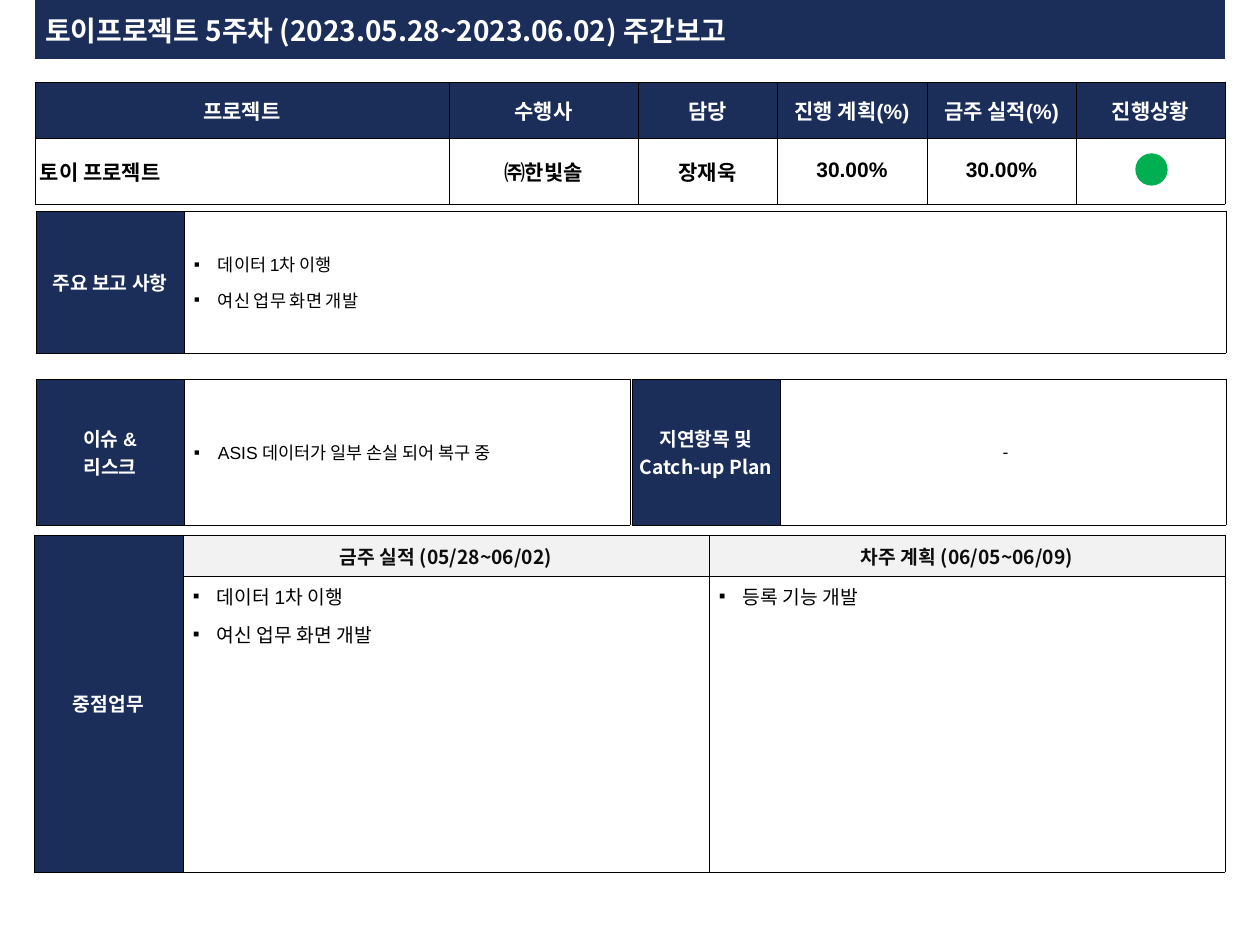
"""Weekly report page: title banner, project status, key reports, issues and main tasks."""
from lxml import etree
from pptx import Presentation
from pptx import util as u
from pptx.dml.color import RGBColor
from pptx.enum import shapes, text
from pptx.oxml import ns

SCALE = u.Inches(1) / 126
THEME = dict(navy="1B2E5A", gray="F2F2F2", white="FFFFFF", black="000000", ink="0D0D0D",
             green="00B050", sans="Arial", korean="Noto Sans CJK KR",
             title=16, status=12, label=11, note=10, border=0.25)

TITLE = "토이프로젝트 5주차 (2023.05.28~2023.06.02) 주간보고"
BANNER = (35, 0, 1190, 59)
TITLE_BOX = (35, 8, 737, 44)
STATUS_LIGHT = (1136, 154, 31, 31)

HEAD = dict(size="status", color="white", bold=True, fill="navy", align="CENTER", before=2.4)
VALUE = dict(size="status", bold=True, align="CENTER", before=2.4)
PERCENT = dict(VALUE, spacing=0.9)
LABEL = dict(size="label", color="white", bold=True, fill="navy", align="CENTER", inset_y=6)
KOREAN_LABEL = dict(LABEL, font="korean")
PERIOD = dict(KOREAN_LABEL, color="ink", fill="gray", before=2.2)
NOTE = dict(size="note", bullet=True, after=6, inset_x=10, inset_y=6)
TASK = dict(NOTE, size="label", anchor="TOP")
PLAIN_NOTE = dict(NOTE, bullet=False, align="CENTER")

HEADINGS = ("프로젝트", "수행사", "담당", "진행 계획(%)", "금주 실적(%)", "진행상황")
DONE = "데이터 1차 이행\n여신 업무 화면 개발"

TABLES = [
    dict(at=(35, 82), cols=(414, 189, 139, 150, 149, 149), rows=(56, 66), cells=[
        [(heading, HEAD) for heading in HEADINGS],
        [("토이 프로젝트", dict(VALUE, font="korean", align="LEFT")),
         ("㈜한빛솔", dict(VALUE, font="korean")),
         ("장재욱", dict(VALUE, before=6)),
         ("30.00%", PERCENT), ("30.00%", PERCENT), ("", VALUE)]]),
    dict(at=(34, 535), cols=(149, 526, 516), rows=(41, 296), merge=((0, 0), (1, 0)), cells=[
        [("중점업무", KOREAN_LABEL), ("금주 실적 (05/28~06/02)", PERIOD),
         ("차주 계획 (06/05~06/09)", PERIOD)],
        [("", LABEL), (DONE, TASK), ("등록 기능 개발", TASK)]]),
    dict(at=(36, 379), cols=(148, 446), rows=(146,), cells=[
        [("이슈 &\n리스크", LABEL), ("ASIS 데이터가 일부 손실 되어 복구 중", NOTE)]]),
    dict(at=(36, 211), cols=(148, 1042), rows=(142,), cells=[
        [("주요 보고 사항", LABEL), (DONE, NOTE)]]),
    dict(at=(632, 379), cols=(148, 446), rows=(146,), cells=[
        [("지연항목 및\nCatch-up Plan", KOREAN_LABEL), ("-", PLAIN_NOTE)]]),
]


def px(*lengths):
    return [u.Emu(round(length * SCALE)) for length in lengths]


def rgb(name):
    return RGBColor.from_string(THEME[name])


def write(frame, words, size, color="black", bold=False, font="sans", align="LEFT",
          before=0, after=0, spacing=None, bullet=False):
    for index, line in enumerate(words.split("\n")):
        para = frame.add_paragraph() if index else frame.paragraphs[0]
        para.alignment = text.PP_ALIGN[align]
        para.space_before, para.space_after = u.Pt(before), u.Pt(after)
        para.line_spacing = spacing
        if bullet:
            props = para._p.get_or_add_pPr()
            indent = px(24)[0]
            props.set("marL", str(indent))
            props.set("indent", str(-indent))
            etree.SubElement(props, ns.qn("a:buFont"), typeface=THEME["sans"])
            etree.SubElement(props, ns.qn("a:buChar"), char="▪")
        span = para.add_run()
        span.text = line
        span.font.size, span.font.bold = u.Pt(THEME[size]), bold
        span.font.color.rgb = rgb(color)
        span.font.name = THEME[font]
        etree.SubElement(span.font._element, ns.qn("a:ea"), typeface=THEME["korean"])


def add_borders(cell):
    props = cell._tc.get_or_add_tcPr()
    for side in "LRTB":
        line = etree.SubElement(props, ns.qn(f"a:ln{side}"), w=str(u.Pt(THEME["border"])))
        fill = etree.SubElement(line, ns.qn("a:solidFill"))
        etree.SubElement(fill, ns.qn("a:srgbClr"), val=THEME["black"])


def style_cell(cell, words, fill=None, anchor="MIDDLE", inset_x=5, inset_y=5, **style):
    add_borders(cell)
    if fill:
        cell.fill.solid()
        cell.fill.fore_color.rgb = rgb(fill)
    else:
        cell.fill.background()
    cell.vertical_anchor = text.MSO_ANCHOR[anchor]
    cell.margin_left, cell.margin_right, cell.margin_top, cell.margin_bottom = px(
        inset_x, 5, inset_y, inset_y)
    if words:
        write(cell.text_frame, words, **style)


def add_grid(page, at, cols, rows, cells, merge=None):
    table = page.shapes.add_table(len(rows), len(cols), *px(*at, sum(cols), sum(rows))).table
    table.first_row = table.horz_banding = False
    for column, width in zip(table.columns, px(*cols)):
        column.width = width
    for row, height in zip(table.rows, px(*rows)):
        row.height = height
    for r, line in enumerate(cells):
        for c, (words, style) in enumerate(line):
            style_cell(table.cell(r, c), words, **style)
    if merge:
        first, last = merge
        table.cell(*first).merge(table.cell(*last))


def add_block(page, kind, at, color, outline=False):
    block = page.shapes.add_shape(shapes.MSO_SHAPE[kind], *px(*at))
    block.shadow.inherit = False
    block.fill.solid()
    block.fill.fore_color.rgb = rgb(color)
    if outline:
        block.line.color.rgb = rgb(color)
        block.line.width = u.Pt(0.75)
    else:
        block.line.fill.background()


deck = Presentation()
deck.slide_width, deck.slide_height = u.Inches(10), u.Inches(7.5)
page = deck.slides.add_slide(deck.slide_layouts[6])

add_block(page, "RECTANGLE", BANNER, "navy")
title = page.shapes.add_textbox(*px(*TITLE_BOX))
title.fill.solid()
title.fill.fore_color.rgb = rgb("navy")
frame = title.text_frame
frame.word_wrap = False
frame.vertical_anchor = text.MSO_ANCHOR.MIDDLE
frame.margin_left, frame.margin_right, frame.margin_top, frame.margin_bottom = px(10, 10, 5, 5)
write(frame, TITLE, size="title", color="white", bold=True, font="korean")

for grid in TABLES:
    add_grid(page, **grid)
add_block(page, "OVAL", STATUS_LIGHT, "green", outline=True)

deck.save("out.pptx")
